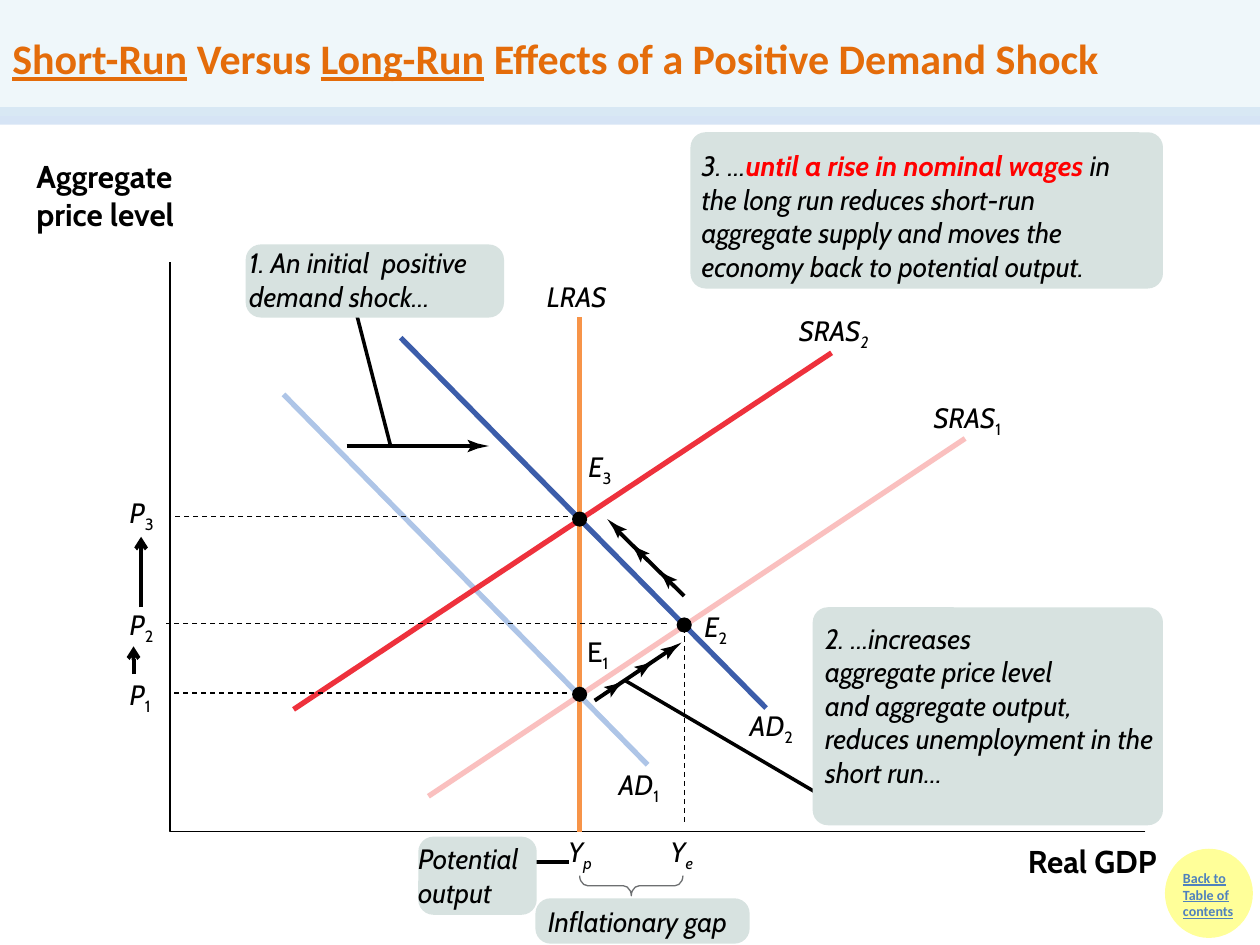
import math
from dataclasses import dataclass

from lxml import etree
from pptx import Presentation
from pptx import util as u
from pptx.dml.color import RGBColor
from pptx.enum import dml, shapes, text
from pptx.oxml.ns import qn

Inches = u.Inches


@dataclass(frozen=True)
class Theme:
    heading_font: str = "Calibri"
    body_font: str = "Cabin"
    title_size: float = 24
    axis_size: float = 18
    body_size: float = 16
    link_size: float = 8
    ink: str = "000000"
    title: str = "E46C0A"
    title_band: str = "DBEEF4"
    title_rule: str = "C6D9F1"
    emphasis: str = "FF0000"
    callout: str = "D7E2E0"
    badge: str = "FFFF99"
    link: str = "4F81BD"
    brace: str = "6D6F71"
    lras: str = "F79448"
    demand_before: str = "AEC5E7"
    demand_after: str = "3C5DAA"
    supply_before: str = "FAC0BF"
    supply_after: str = "EE313C"
    hairline: float = 0
    dash: float = 0.75
    arrow: float = 2.25
    curve: float = 3


def set_alpha(fill_parent, percent):
    color = fill_parent.find(".//" + qn("a:srgbClr"))
    etree.SubElement(color, qn("a:alpha")).set("val", str(percent * 1000))


class Diagram:
    def __init__(self, slide, theme):
        self.slide = slide
        self.theme = theme

    def paint(self, shape, fill=None, line=None, width=0):
        shape.shadow.inherit = False
        if fill:
            shape.fill.solid()
            shape.fill.fore_color.rgb = RGBColor.from_string(fill)
        else:
            shape.fill.background()
        if line:
            shape.line.color.rgb = RGBColor.from_string(line)
            shape.line.width = u.Pt(width)
        else:
            shape.line.fill.background()
        return shape

    def preset(self, kind, box, **paint):
        shape = self.slide.shapes.add_shape(kind, *map(Inches, box))
        return self.paint(shape, **paint)

    def outline(self, points, closed, **paint):
        corners = [(Inches(x), Inches(y)) for x, y in points]
        builder = self.slide.shapes.build_freeform(*corners[0], scale=1.0)
        builder.add_line_segments(corners[1:], close=closed)
        return self.paint(builder.convert_to_shape(), **paint)

    def line(self, start, end, color, width, dashed=False, head=False):
        line = self.slide.shapes.add_connector(
            shapes.MSO_CONNECTOR.STRAIGHT, *map(Inches, (*start, *end)))
        line.line.color.rgb = RGBColor.from_string(color)
        line.line.width = u.Pt(width)
        if dashed:
            line.line.dash_style = dml.MSO_LINE.DASH
        properties = line._element.spPr
        if head:
            etree.SubElement(properties.find(qn("a:ln")), qn("a:tailEnd")).set("type", "arrow")
        etree.SubElement(properties, qn("a:effectLst"))
        return line

    def run(self, paragraph, words, size=None, font=None, color=None,
            bold=False, italic=False, underline=False, sub=False):
        run = paragraph.add_run()
        run.text = words
        style = run.font
        style.name = font or self.theme.body_font
        style.size = u.Pt(size or self.theme.body_size)
        style.color.rgb = RGBColor.from_string(color or self.theme.ink)
        style.bold, style.italic, style.underline = bold, italic, underline
        if sub:
            run._r.get_or_add_rPr().set("baseline", "-25000")

    def text(self, box, *lines, **style):
        """Add a wrapping text box; each line is a string."""
        frame = self.slide.shapes.add_textbox(*map(Inches, box)).text_frame
        frame.word_wrap = True
        for index, words in enumerate(lines):
            paragraph = frame.add_paragraph() if index else frame.paragraphs[0]
            self.run(paragraph, words, **style)
        return frame

    def label(self, box, name, sub="", italic=True, sub_italic=False):
        frame = self.slide.shapes.add_textbox(*map(Inches, (*box, 0.27))).text_frame
        frame.margin_left = frame.margin_right = frame.margin_top = frame.margin_bottom = 0
        frame.word_wrap = False
        frame.auto_size = text.MSO_AUTO_SIZE.SHAPE_TO_FIT_TEXT
        self.run(frame.paragraphs[0], name, italic=italic)
        if sub:
            self.run(frame.paragraphs[0], sub, italic=sub_italic, sub=True)

    def callout(self, box, radius=0.12):
        panel = self.preset(shapes.MSO_SHAPE.ROUNDED_RECTANGLE, box, fill=self.theme.callout)
        panel.adjustments[0] = radius / min(box[2:])

    def number_first(self, frame, hang=0.17):
        properties = frame.paragraphs[0]._p.get_or_add_pPr()
        properties.set("marL", str(Inches(hang)))
        properties.set("indent", str(-Inches(hang)))
        etree.SubElement(properties, qn("a:buAutoNum")).set("type", "arabicPeriod")

    def barbed_arrow(self, start, end, tips):
        """Draw a shaft with a swept-back head at each tip."""
        self.line(start, end, self.theme.ink, self.theme.arrow)
        angle = math.atan2(end[1] - start[1], end[0] - start[0])
        cos, sin = math.cos(angle), math.sin(angle)
        head = [(0, 0), (-0.09, -0.02), (-0.17, -0.05), (-0.14, 0), (-0.17, 0.05), (-0.09, 0.02)]
        for x, y in tips:
            points = [(x + a * cos - b * sin, y + a * sin + b * cos) for a, b in head]
            self.outline(points, True, fill=self.theme.ink)

    def dot(self, x, y, size=0.12):
        self.preset(shapes.MSO_SHAPE.OVAL, (x - size / 2, y - size / 2, size, size),
                    fill=self.theme.ink)


def draw_title(d):
    t = d.theme
    band = d.preset(shapes.MSO_SHAPE.RECTANGLE, (0, 0, 10, 0.92), fill=t.title_band)
    set_alpha(band._element.spPr, 44)
    frame = band.text_frame
    frame.word_wrap = True
    frame.vertical_anchor = text.MSO_ANCHOR.MIDDLE
    heading = frame.paragraphs[0]
    heading.alignment = text.PP_ALIGN.LEFT
    for words, underline in (("Short-Run", True), (" Versus ", False), ("Long-Run", True),
                             (" Effects of a Positive Demand Shock", False)):
        d.run(heading, words, t.title_size, t.heading_font, t.title, bold=True, underline=underline)


def draw_curves(d):
    t = d.theme
    d.outline([(9.09, 6.6), (1.35, 6.6), (1.35, 2.08)], False, line=t.ink, width=t.hairline)
    for start, end, color in (
            ((4.6, 2.52), (4.6, 6.6), t.lras),
            ((5.14, 6.07), (2.25, 3.13), t.demand_before),
            ((3.4, 6.32), (7.66, 3.48), t.supply_before),
            ((2.33, 5.63), (6.6, 2.8), t.supply_after),
            ((6.08, 5.62), (3.18, 2.68), t.demand_after)):
        d.line(start, end, color, t.curve)
    for start, end in (((4.51, 4.1), (1.35, 4.1)), ((5.29, 4.95), (1.32, 4.95)),
                       ((4.5, 5.5), (1.38, 5.5)), ((5.43, 4.98), (5.43, 6.55))):
        d.line(start, end, t.ink, t.dash, dashed=True)
    for center in ((4.6, 5.51), (5.43, 4.96), (4.6, 4.12)):
        d.dot(*center)


def draw_shifts(d):
    t = d.theme
    d.barbed_arrow((2.75, 3.54), (3.76, 3.54), [(3.88, 3.54)])
    d.barbed_arrow((4.72, 5.56), (5.3, 5.17), [(5.41, 5.1), (5.2, 5.24), (4.96, 5.4)])
    d.barbed_arrow((5.43, 4.73), (4.91, 4.22), [(4.82, 4.12), (5, 4.31), (5.22, 4.52)])
    d.line((1.12, 4.82), (1.12, 4.26), t.ink, t.arrow, head=True)
    d.line((1.06, 5.35), (1.06, 5.13), t.ink, t.arrow, head=True)


def draw_labels(d):
    t = d.theme
    for sub, y in (("3", 3.93), ("2", 4.82), ("1", 5.38)):
        d.label((1.03, y, 0.23), "P", sub)
    d.label((4.66, 5.04, 0.19), "E", "1", italic=False)
    d.label((5.59, 4.84, 0.23), "E", "2")
    d.label((4.67, 3.57, 0.23), "E", "3")
    d.label((4.34, 2.22, 0.58), "LRAS")
    d.label((7.41, 3.18, 0.69), "SRAS", "1")
    d.label((6.34, 2.49, 0.69), "SRAS", "2", sub_italic=True)
    d.label((4.91, 6.09, 0.39), "AD", "1")
    d.label((5.95, 5.62, 0.39), "AD", "2")
    d.label((4.51, 6.62, 0.22), "Y", "p", sub_italic=True)
    d.label((5.32, 6.62, 0.22), "Y", "e", sub_italic=True)
    d.text((0.19, 1.2, 1.69, 0.7), "Aggregate price level", size=t.axis_size, bold=True)
    d.text((8.06, 6.63, 1.58, 0.4), "Real GDP", size=t.axis_size, bold=True)


def draw_callouts(d):
    t = d.theme
    for start, end in (((3.1, 3.54), (2.77, 2.26)), ((6.46, 6.28), (4.96, 5.4)),
                       ((4.25, 6.84), (4.52, 6.84))):
        d.line(start, end, t.ink, t.hairline)
    for box in ((1.95, 1.94, 2.05, 0.58), (6.45, 4.82, 2.78, 1.73), (5.48, 1.05, 3.75, 1.24),
                (3.32, 6.64, 0.94, 0.62), (4.25, 7.13, 1.7, 0.36)):
        d.callout(box)
    shock = d.text((1.88, 1.9, 2.43, 0.64), "An initial  positive", "demand shock…", italic=True)
    d.number_first(shock)
    d.text((6.45, 4.88, 2.83, 1.45), "2. …increases", "aggregate price level",
           "and aggregate output,", "reduces unemployment in the short run…", italic=True)
    wages = d.text((5.47, 1.13, 3.75, 1.18), "3. …", italic=True).paragraphs[0]
    d.run(wages, "until a rise in nominal wages ", color=t.emphasis, bold=True, italic=True)
    d.run(wages, "in the long run reduces short-run aggregate supply and moves the economy "
                 "back to potential output.", italic=True)
    d.text((3.22, 6.63, 1.08, 0.64), "Potential", "output", italic=True)
    d.text((4.25, 7.13, 1.89, 0.37), "Inflationary gap", italic=True)
    gap = d.preset(shapes.MSO_SHAPE.RIGHT_BRACE, (4.93, 6.62, 0.16, 0.82),
                   line=t.brace, width=t.hairline)
    gap.rotation = 90
    gap.adjustments[0] = 0.4


def main():
    deck = Presentation()
    deck.slide_width, deck.slide_height = Inches(10), Inches(7.5)
    t = Theme()
    d = Diagram(deck.slides.add_slide(deck.slide_layouts[6]), t)
    rule = d.line((0, 0.92), (10, 0.92), t.title_rule, 10)
    set_alpha(rule._element.spPr, 71)
    d.preset(shapes.MSO_SHAPE.OVAL, (9.26, 6.75, 0.67, 0.68), fill=t.badge, line=t.badge, width=2)
    d.text((9.29, 6.85, 0.72, 0.67), "Back to Table of contents", size=t.link_size,
           font=t.heading_font, color=t.link, bold=True, underline=True)
    draw_curves(d)
    draw_shifts(d)
    draw_callouts(d)
    draw_labels(d)
    draw_title(d)
    deck.save("out.pptx")


if __name__ == "__main__":
    main()
